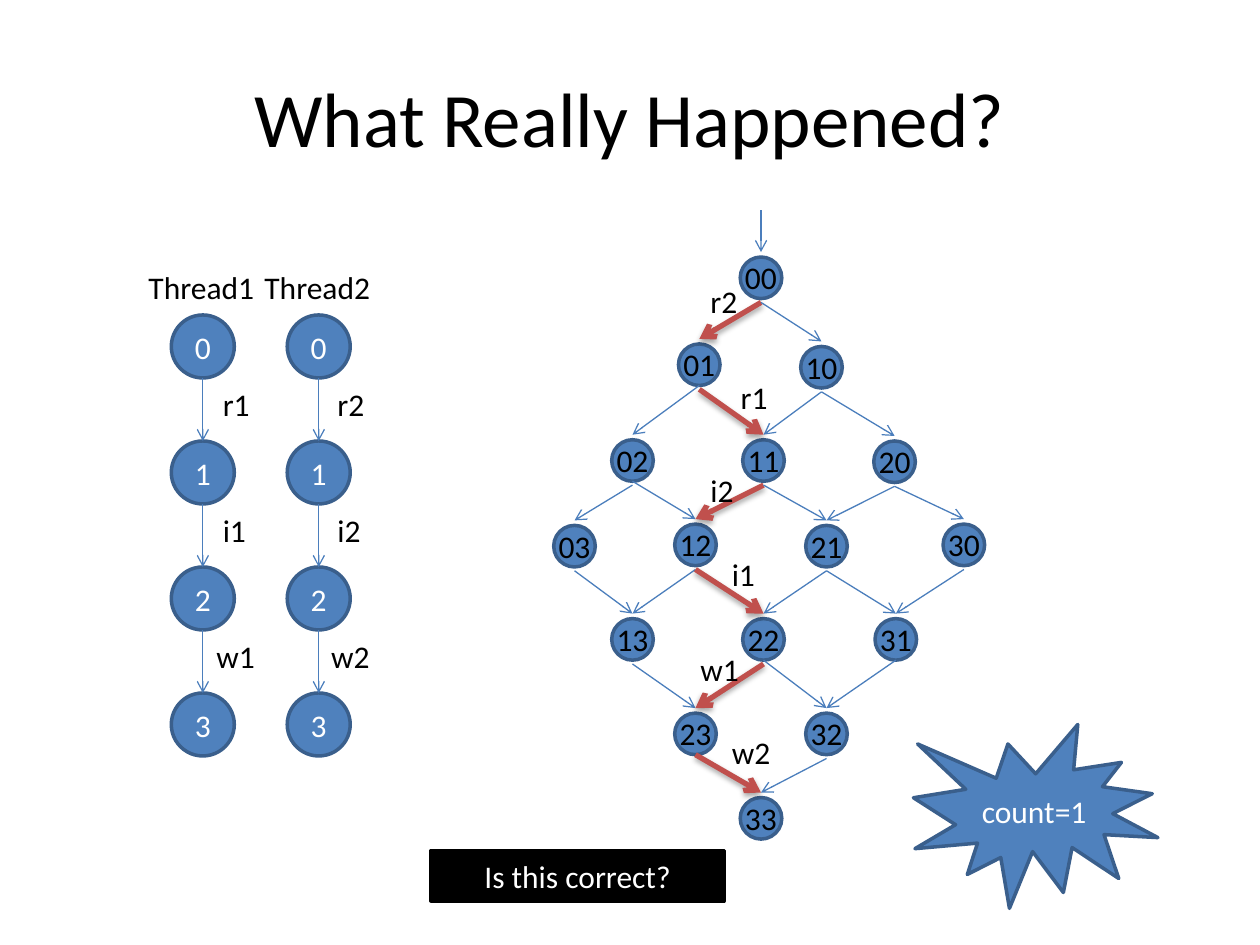
from dataclasses import dataclass

from lxml import etree
from pptx import Presentation
from pptx.dml import color
from pptx.enum import shapes, text
from pptx.oxml import ns
from pptx.util import Inches, Pt


@dataclass(frozen=True)
class Theme:
    """Colours, type sizes and line widths of the slide."""
    font: str = "Calibri"
    title: int = 44
    body: int = 18
    blue: str = "4F81BD"
    outline: str = "3A5F8C"
    arrow: str = "4B7EBC"
    red: str = "C0504D"
    black: str = "000000"
    white: str = "FFFFFF"
    thin: float = 0.75
    border: float = 2
    thick: float = 3


THEME = Theme()
SHAPE = shapes.MSO_SHAPE
CENTER, LEFT = text.PP_ALIGN.CENTER, text.PP_ALIGN.LEFT
MIDDLE, TOP = text.MSO_ANCHOR.MIDDLE, text.MSO_ANCHOR.TOP

TITLE = "What Really Happened?"
# name, centre x, steps as (label, offset from centre, width)
THREADS = [
    ("Thread1", 1.61, [("r1", 0.06, 0.47), ("i1", 0.06, 0.47), ("w1", 0.01, 0.66)]),
    ("Thread2", 2.53, [("r2", 0.05, 0.47), ("i2", 0.05, 0.47), ("w2", 0, 0.52)]),
]
# state: centre x, top of its label
STATES = {
    "00": (6.04, 2.0),
    "01": (5.55, 2.69), "10": (6.52, 2.71),
    "02": (5.02, 3.45), "11": (6.06, 3.45), "20": (7.1, 3.46),
    "03": (4.56, 4.13), "12": (5.52, 4.12), "21": (6.56, 4.13), "30": (7.65, 4.12),
    "13": (5.02, 4.87), "22": (6.06, 4.87), "31": (7.11, 4.87),
    "23": (5.52, 5.62), "32": (6.56, 5.62),
    "33": (6.04, 6.29),
}
RUN = ["00", "01", "11", "12", "22", "23", "33"]
RUN_EDGES = set(zip(RUN, RUN[1:]))
# edges that leave from the circle rather than from below the label
CLOSE_EDGES = {("01", "02"), ("02", "12"), ("22", "32"), ("31", "32"), ("23", "33")}
RUN_LABELS = [("r2", 5.54, 2.19, 0.47), ("r1", 5.78, 2.95, 0.47),
              ("i2", 5.54, 3.69, 0.47), ("i1", 5.71, 4.36, 0.47),
              ("w1", 5.46, 5.11, 0.72), ("w2", 5.71, 5.77, 0.58)]

LAST_STEP = 3
THREAD_TOP, STEP, THREAD_CIRCLE = 2.5, 1, 0.5
STATE_CIRCLE, STATE_WIDTH, LABEL_HEIGHT = 0.33, 0.46, 0.4


def rgb(value):
    """Turn a hex string into a colour."""
    return color.RGBColor.from_string(value)


def write(box, words, ink, size=THEME.body, align=CENTER, anchor=MIDDLE, wrap=True):
    """Put one styled line of text into a box."""
    frame = box.text_frame
    frame.word_wrap = wrap
    frame.vertical_anchor = anchor
    para = frame.paragraphs[0]
    para.alignment = align
    span = para.add_run()
    span.text = words
    span.font.name, span.font.size = THEME.font, Pt(size)
    span.font.color.rgb = rgb(ink)


def add_label(parent, words, left, top, width, height=LABEL_HEIGHT, **style):
    """Add a text box in black."""
    box = parent.add_textbox(Inches(left), Inches(top), Inches(width), Inches(height))
    write(box, words, THEME.black, **style)


def add_block(parent, kind, place, words="", fill=THEME.blue, line=THEME.outline):
    """Add a filled preset shape, with white text if there is any."""
    block = parent.add_shape(kind, *map(Inches, place))
    block.shadow.inherit = False
    block.fill.solid()
    block.fill.fore_color.rgb = rgb(fill)
    block.line.color.rgb = rgb(line)
    block.line.width = Pt(THEME.border)
    if words:
        write(block, words, THEME.white)


def add_arrow(parent, start, end, bold=False):
    """Add an open-headed arrow; a bold one is thick, red and shadowed."""
    arrow = parent.add_connector(shapes.MSO_CONNECTOR.STRAIGHT,
                                 *map(Inches, (*start, *end)))
    arrow.line.color.rgb = rgb(THEME.red if bold else THEME.arrow)
    arrow.line.width = Pt(THEME.thick if bold else THEME.thin)
    properties = arrow._element.spPr
    etree.SubElement(properties.find(ns.qn("a:ln")), ns.qn("a:tailEnd"), type="arrow")
    effects = etree.SubElement(properties, ns.qn("a:effectLst"))
    if bold:
        shadow = etree.SubElement(effects, ns.qn("a:outerShdw"), blurRad="40000",
                                  dist="23000", dir="5400000", rotWithShape="0")
        ink = etree.SubElement(shadow, ns.qn("a:srgbClr"), val=THEME.black)
        etree.SubElement(ink, ns.qn("a:alpha"), val="35000")


def add_thread(parent, name, x, steps):
    """Draw one thread as a column of numbered circles."""
    add_label(parent, name, x - 0.53, 2.08, 1.05, align=LEFT, anchor=TOP, wrap=False)
    for number in range(LAST_STEP + 1):
        top = THREAD_TOP + number * STEP
        add_block(parent, SHAPE.OVAL,
                  (x - THREAD_CIRCLE / 2, top, THREAD_CIRCLE, THREAD_CIRCLE), str(number))
    for number, (words, offset, width) in enumerate(steps):
        top = THREAD_TOP + number * STEP + THREAD_CIRCLE
        add_arrow(parent, (x, top), (x, top + STEP - THREAD_CIRCLE))
        add_label(parent, words, x + offset, top + 0.01, width, align=LEFT, anchor=TOP)


def add_state(parent, name, x, top):
    """Draw one combined state: a circle with its label, grouped."""
    group = parent.add_group_shape().shapes
    add_block(group, SHAPE.OVAL,
              (x - STATE_CIRCLE / 2, top + 0.04, STATE_CIRCLE, STATE_CIRCLE))
    add_label(group, name, x - STATE_WIDTH / 2, top, STATE_WIDTH,
              anchor=TOP, wrap=False)


def add_edges(parent):
    """Join each state to the states one step of either thread away."""
    for source, (x, top) in STATES.items():
        first, second = map(int, source)
        for target in (f"{first}{second + 1}", f"{first + 1}{second}"):
            if target in STATES:
                edge = (source, target)
                drop = 0.37 if edge in CLOSE_EDGES else LABEL_HEIGHT
                add_arrow(parent, (x, top + drop), STATES[target], edge in RUN_EDGES)


deck = Presentation()
deck.slide_width, deck.slide_height = Inches(10), Inches(7.5)
page = deck.slides.add_slide(deck.slide_layouts[6]).shapes

add_label(page, TITLE, 0.5, 0.3, 9, 1.25, size=THEME.title)
for thread in THREADS:
    add_thread(page, *thread)
for state, spot in STATES.items():
    add_state(page, state, *spot)
add_arrow(page, (6.04, 1.67), STATES["00"])
add_edges(page)
for label in RUN_LABELS:
    add_label(page, *label, align=LEFT, anchor=TOP)
add_block(page, SHAPE.EXPLOSION1, (7.25, 5.75, 1.94, 1.46), "count=1")
add_block(page, SHAPE.RECTANGLE, (3.42, 6.75, 2.33, 0.4), "Is this correct?",
          THEME.black, THEME.black)

deck.save("out.pptx")
